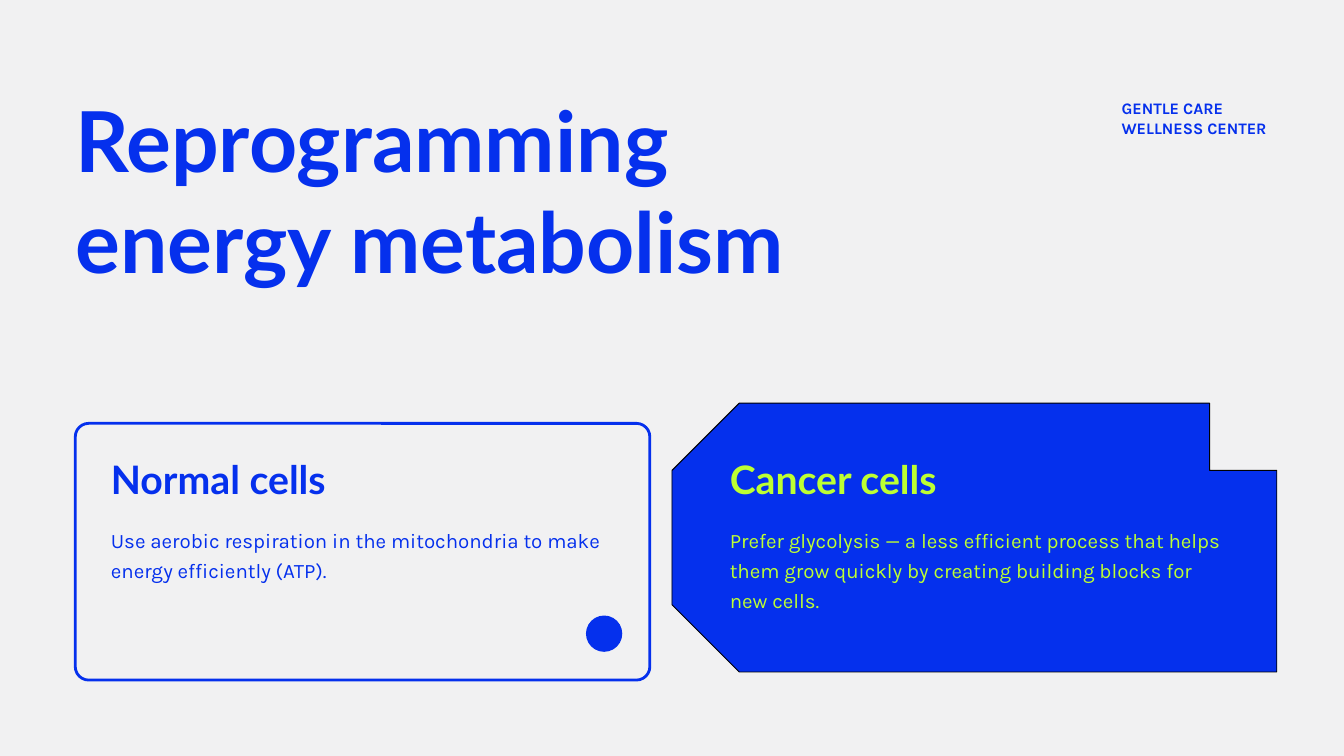
import math

import pptx
import pptx.dml.color
import pptx.enum.shapes
import pptx.enum.text
import pptx.util

RGBColor = pptx.dml.color.RGBColor
Inches = pptx.util.Inches
Pt = pptx.util.Pt
Shape = pptx.enum.shapes.MSO_SHAPE

PAPER = RGBColor(0xF1, 0xF1, 0xF2)
BLUE = RGBColor(0x05, 0x30, 0xED)
LIME = RGBColor(0xBD, 0xFF, 0x32)
BLACK = RGBColor(0, 0, 0)

WIDTH, HEIGHT = 20, 11.25
MARGIN = 1.12
GUTTER = 0.66
CARD_WIDTH = (WIDTH - 2 * MARGIN - GUTTER) / 2
CARD_TOP, CARD_HEIGHT = 6.3, 3.82
PADDING = 0.53
COLUMNS = [MARGIN + i * (CARD_WIDTH + GUTTER) for i in range(2)]


def add_text(page, area, lines, font, size, color, bold=False, spacing=None):
    box = page.shapes.add_textbox(*map(Inches, area))
    frame = box.text_frame
    frame.word_wrap = True
    frame.auto_size = pptx.enum.text.MSO_AUTO_SIZE.NONE
    frame.margin_left = frame.margin_right = 0
    frame.margin_top = frame.margin_bottom = 0
    for index, line in enumerate(lines):
        para = frame.add_paragraph() if index else frame.paragraphs[0]
        para.add_run().text = line
        para.font.name = font
        para.font.size = Pt(size)
        para.font.bold = bold
        para.font.color.rgb = color
        if spacing:
            para.line_spacing = spacing


def paint(shape, fill=None, line=None, weight=1):
    shape.shadow.inherit = False
    if fill is None:
        shape.fill.background()
    else:
        shape.fill.solid()
        shape.fill.fore_color.rgb = fill
    if line is None:
        shape.line.fill.background()
    else:
        shape.line.color.rgb = line
        shape.line.width = Pt(weight)


def round_corner(before, corner, after, radius, steps=16):
    def toward(point):
        distance = math.dist(corner, point)
        return [(p - c) / distance for p, c in zip(point, corner)]

    back, ahead = toward(before), toward(after)
    turn = math.pi - math.acos(sum(b * a for b, a in zip(back, ahead)))
    cut = radius * math.tan(turn / 2)
    pull = cut - radius * 4 / 3 * math.tan(turn / 4)
    for step in range(steps + 1):
        t = step / steps
        start = (1 - t) ** 3 * cut + 3 * t * (1 - t) ** 2 * pull
        end = t ** 3 * cut + 3 * t ** 2 * (1 - t) * pull
        yield tuple(c + start * b + end * a for c, b, a in zip(corner, back, ahead))


def add_snipped_card(page, left):
    right, bottom = left + CARD_WIDTH, CARD_TOP + CARD_HEIGHT
    corners = [
        (left, CARD_TOP),
        (right - 1.25, CARD_TOP),
        (right, CARD_TOP + 1.38),
        (right, bottom),
        (left + 0.88, bottom),
        (left, bottom - 0.98),
    ]
    outline = []
    for index, corner in enumerate(corners):
        after = corners[(index + 1) % len(corners)]
        outline += round_corner(corners[index - 1], corner, after, radius=0.66)
    builder = page.shapes.build_freeform(*outline[0], scale=Inches(1))
    builder.add_line_segments(outline[1:], close=True)
    paint(builder.convert_to_shape(), BLUE, BLACK)


def add_outlined_card(page, left):
    area = map(Inches, (left, CARD_TOP, CARD_WIDTH, CARD_HEIGHT))
    card = page.shapes.add_shape(Shape.ROUNDED_RECTANGLE, *area)
    card.adjustments[0] = 0.2 / CARD_HEIGHT
    paint(card, line=BLUE, weight=3)


def add_dot(page, left, top, size):
    dot = page.shapes.add_shape(Shape.OVAL, *map(Inches, (left, top, size, size)))
    paint(dot, BLUE)


def add_card_text(page, left, heading, body, color):
    x = left + PADDING
    add_text(page, (x, CARD_TOP + 0.55, 5.2, 0.64), [heading],
             "Lato", 42, color, bold=True, spacing=0.9)
    add_text(page, (x, CARD_TOP + 1.49, 7.51, 1.26), [body],
             "Karla", 22, color, spacing=1.2)


def main():
    deck = pptx.Presentation()
    deck.slide_width, deck.slide_height = Inches(WIDTH), Inches(HEIGHT)
    page = deck.slides.add_slide(deck.slide_layouts[6])
    page.background.fill.solid()
    page.background.fill.fore_color.rgb = PAPER

    normal, cancer = COLUMNS
    add_snipped_card(page, cancer)
    add_outlined_card(page, normal)
    add_text(page, (MARGIN, 1.32, 12.8, 3.03), ["Reprogramming energy metabolism"],
             "Lato", 90, BLUE, bold=True)
    add_card_text(page, cancer, "Cancer cells",
                  "Prefer glycolysis — a less efficient process that helps them grow "
                  "quickly by creating building blocks for new cells.", LIME)
    add_card_text(page, normal, "Normal cells",
                  "Use aerobic respiration in the mitochondria to make energy "
                  "efficiently (ATP).", BLUE)
    add_dot(page, 8.72, 9.16, 0.54)
    add_text(page, (16.69, 1.47, 2.19, 0.5), ["GENTLE CARE", "WELLNESS CENTER"],
             "Karla", 17.2, BLUE, bold=True)
    deck.save("out.pptx")


if __name__ == "__main__":
    main()
